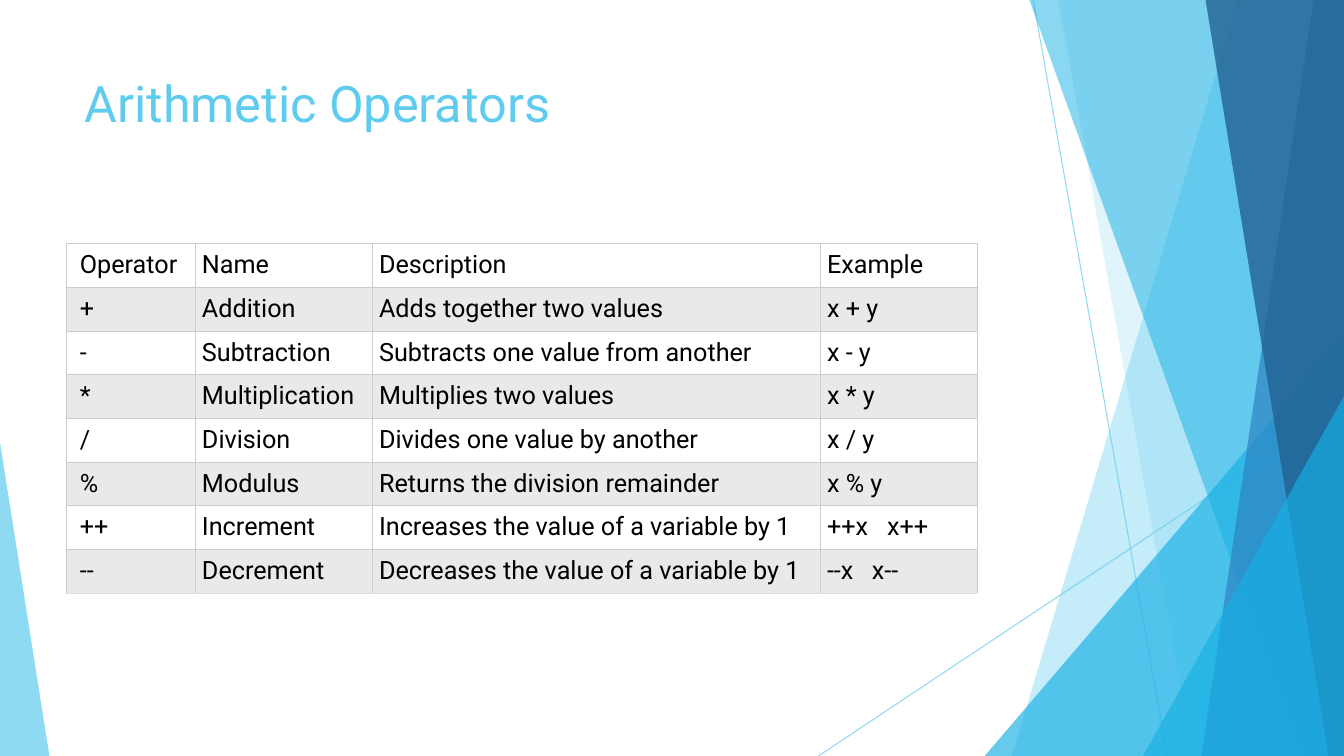
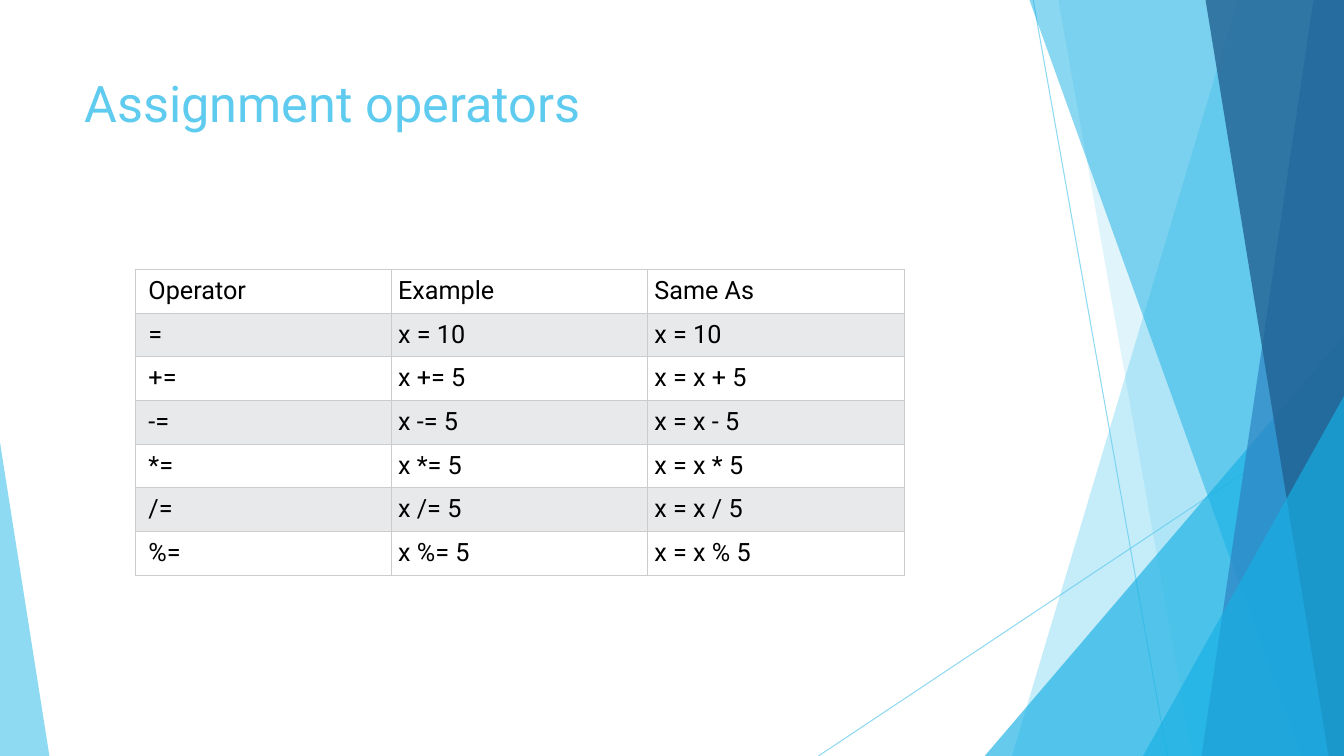
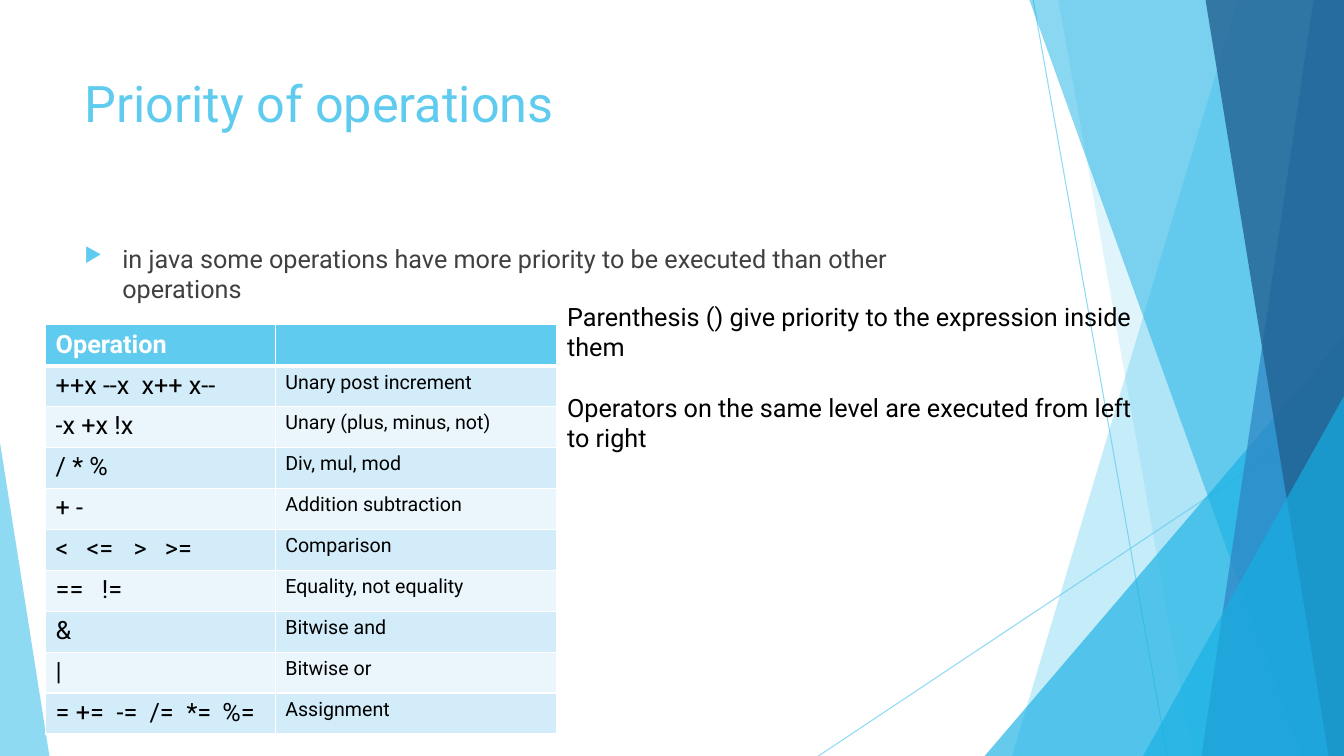
"""Build three slides on operators: arithmetic, assignment and priority."""
from dataclasses import dataclass

from lxml.etree import SubElement
from pptx import Presentation
from pptx.dml.color import RGBColor
from pptx.enum.shapes import MSO_CONNECTOR, MSO_SHAPE
from pptx.oxml.ns import qn
from pptx.util import Pt

WIDTH, HEIGHT = 960, 540
FONT = "Roboto"
SKY, AZURE, BLUE, NAVY = "5FCBEF", "17B0E4", "2E83C3", "226292"
WHITE, BLACK, CHARCOAL = "FFFFFF", "000000", "404040"
SILVER, PALE_SILVER, MIST = "CCCCCC", "DDDDDD", "E7E9EB"
ICE, FROST = "D2ECF9", "EAF6FC"


@dataclass(frozen=True)
class Band:
    top_x: float
    bottom_x: float
    color: str
    opacity: int


@dataclass(frozen=True)
class Wedge:
    left: float
    top: float
    width: float
    apex: float
    color: str
    opacity: int


@dataclass(frozen=True)
class Ray:
    start: tuple[float, float]
    end: tuple[float, float]


@dataclass(frozen=True)
class Rule:
    color: str
    width: float


@dataclass(frozen=True)
class TableLook:
    row_height: float
    inset: float
    first_inset: float
    column_sizes: tuple[int, ...]
    header_fill: str
    header_color: str
    header_bold: bool
    stripes: tuple[str, str]
    rule: Rule
    header_rule: Rule


RAYS = (Ray((738, 0), (833.8, HEIGHT)), Ray((WIDTH, 290.2), (584.6, HEIGHT)))
FACETS = (
    Band(884.2, 722.9, SKY, 36),
    Band(756, 851.8, SKY, 20),
    Wedge(703.4, 239.8, 256.6, 1, AZURE, 66),
    Band(735.3, 929.5, AZURE, 50),
    Band(938.2, 858.2, BLUE, 70),
    Band(861.1, 949, NAVY, 80),
    Wedge(816.5, 283, 143.5, 1, AZURE, 66),
    Wedge(0, 316.1, 35.3, 0, SKY, 70),
)

GRID_RULE = Rule(SILVER, 0.6)
GRID = TableLook(30.8, 4.8, 9.6, (18, 18, 18, 18), WHITE, BLACK, False,
                 (MIST, WHITE), GRID_RULE, GRID_RULE)
BANDED = TableLook(29.23, 7.2, 7.2, (18, 14), SKY, WHITE, True,
                   (ICE, FROST), Rule(WHITE, 1), Rule(WHITE, 3))

ARITHMETIC = (
    ("Operator", "Name", "Description", "Example"),
    ("+", "Addition", "Adds together two values", "x + y"),
    ("-", "Subtraction", "Subtracts one value from another", "x - y"),
    ("*", "Multiplication", "Multiplies two values", "x * y"),
    ("/", "Division", "Divides one value by another", "x / y"),
    ("%", "Modulus", "Returns the division remainder", "x % y"),
    ("++", "Increment", "Increases the value of a variable by 1", "++x\tx++"),
    ("--", "Decrement", "Decreases the value of a variable by 1", "--x\tx--"),
)
ASSIGNMENT = (
    ("Operator", "Example", "Same As"),
    ("=", "x = 10", "x = 10"),
    *((f"{sign}=", f"x {sign}= 5", f"x = x {sign} 5") for sign in "+-*/%"),
)
PRIORITY = (
    ("Operation", ""),
    ("++x --x\tx++ x--", "Unary post increment"),
    ("-x +x !x", "Unary (plus, minus, not)"),
    ("/ * %", "Div, mul, mod"),
    ("+ -", "Addition subtraction"),
    ("<\t<=\t>\t>=", "Comparison"),
    ("==\t!=", "Equality, not equality"),
    ("&", "Bitwise and"),
    ("|", "Bitwise or"),
    ("= +=\t-=\t/=\t*=\t%=", "Assignment"),
)
TAB_STOPS = {
    "++x\tx++": (42.9,),
    "--x\tx--": (32,),
    "++x --x\tx++ x--": (61.4,),
    "<\t<=\t>\t>=": (22, 55.7, 78),
    "==\t!=": (33,),
    "= +=\t-=\t/=\t*=\t%=": (43.5, 67, 93.5, 119),
}


def rgb(color: str) -> RGBColor:
    """Turn a hex string into a colour."""
    return RGBColor.from_string(color)


def fade(shape, opacity: int) -> None:
    """Give every colour of a shape the opacity in percent."""
    for color in shape.element.spPr.iter(qn("a:srgbClr")):
        SubElement(color, qn("a:alpha"), val=str(opacity * 1000))


def add_run(paragraph, text: str, size: float, color: str, bold: bool = False) -> None:
    """Append one styled run to a paragraph."""
    run = paragraph.add_run()
    run.text = text
    run.font.name = FONT
    run.font.size = Pt(size)
    run.font.bold = bold
    run.font.color.rgb = rgb(color)


def add_text(slide, left: float, top: float, width: float, height: float,
             paragraphs: tuple[str, ...], size: float, color: str, gap: float = 0) -> list:
    """Add a wrapped text box and return its paragraphs."""
    frame = slide.shapes.add_textbox(Pt(left), Pt(top), Pt(width), Pt(height)).text_frame
    frame.word_wrap = True
    for index, text in enumerate(paragraphs):
        paragraph = frame.add_paragraph() if index else frame.paragraphs[0]
        if index:
            paragraph.space_before = Pt(gap)
        add_run(paragraph, text, size, color)
    return list(frame.paragraphs)


def add_bullet(paragraph, indent: float) -> None:
    """Set a sky blue arrowhead bullet with a hanging indent."""
    properties = paragraph._p.get_or_add_pPr()
    properties.set("marL", str(Pt(indent)))
    properties.set("indent", str(-Pt(indent)))
    SubElement(SubElement(properties, qn("a:buClr")), qn("a:srgbClr"), val=SKY)
    SubElement(properties, qn("a:buSzPct"), val="80000")
    SubElement(properties, qn("a:buChar"), char="▶")


def add_tab_stops(paragraph, stops: tuple[float, ...]) -> None:
    """Set left tab stops on a paragraph."""
    tabs = SubElement(paragraph._p.get_or_add_pPr(), qn("a:tabLst"))
    for stop in stops:
        SubElement(tabs, qn("a:tab"), pos=str(Pt(stop)), algn="l")


def draw_ray(slide, ray: Ray) -> None:
    """Draw one thin line of the backdrop."""
    line = slide.shapes.add_connector(
        MSO_CONNECTOR.STRAIGHT, *(Pt(value) for value in (*ray.start, *ray.end)))
    line.line.width = Pt(0.75)
    line.line.color.rgb = rgb(SKY)
    fade(line, 70)
    SubElement(line.element.spPr, qn("a:effectLst"))


def draw_facet(slide, facet: Band | Wedge) -> None:
    """Draw one see-through facet of the backdrop."""
    if isinstance(facet, Band):
        outline = slide.shapes.build_freeform(Pt(facet.top_x), 0)
        outline.add_line_segments(
            [(Pt(WIDTH), 0), (Pt(WIDTH), Pt(HEIGHT)), (Pt(facet.bottom_x), Pt(HEIGHT))])
        shape = outline.convert_to_shape()
    else:
        shape = slide.shapes.add_shape(
            MSO_SHAPE.ISOSCELES_TRIANGLE, Pt(facet.left), Pt(facet.top),
            Pt(facet.width), Pt(HEIGHT - facet.top))
        shape.adjustments[0] = facet.apex
    shape.shadow.inherit = False
    shape.fill.solid()
    shape.fill.fore_color.rgb = rgb(facet.color)
    shape.line.fill.background()
    fade(shape, facet.opacity)


def add_slide(presentation, title: str):
    """Add a slide with the shared backdrop and title."""
    slide = presentation.slides.add_slide(presentation.slide_layouts[6])
    for ray in RAYS:
        draw_ray(slide, ray)
    for facet in FACETS:
        draw_facet(slide, facet)
    add_text(slide, 53.3, 48.2, 676.8, 104, (title,), 36, SKY)
    return slide


def set_borders(cell, top: Rule, bottom: Rule, side: Rule) -> None:
    """Rule the four sides of a table cell."""
    properties = cell._tc.get_or_add_tcPr()
    for tag, rule in (("lnL", side), ("lnR", side), ("lnT", top), ("lnB", bottom)):
        line = SubElement(properties, qn(f"a:{tag}"), w=str(Pt(rule.width)))
        SubElement(SubElement(line, qn("a:solidFill")), qn("a:srgbClr"), val=rule.color)


def add_grid(slide, left: float, top: float, widths: tuple[float, ...],
             rows: tuple[tuple[str, ...], ...], look: TableLook,
             last_rule: Rule | None = None) -> None:
    """Add a striped table with a header row."""
    table = slide.shapes.add_table(
        len(rows), len(widths), Pt(left), Pt(top),
        Pt(sum(widths)), Pt(look.row_height * len(rows))).table
    table.first_row = table.horz_banding = False
    for column, width in zip(table.columns, widths):
        column.width = Pt(width)
    rules = [look.rule, look.header_rule, *[look.rule] * (len(rows) - 2),
             last_rule or look.rule]
    for r, texts in enumerate(rows):
        table.rows[r].height = Pt(look.row_height)
        header = r == 0
        fill = look.header_fill if header else look.stripes[(r - 1) % 2]
        color = look.header_color if header else BLACK
        for c, text in enumerate(texts):
            cell = table.cell(r, c)
            cell.margin_left = Pt(look.inset if c else look.first_inset)
            cell.margin_right = Pt(look.inset)
            cell.margin_top = cell.margin_bottom = Pt(min(look.inset, 3.6) if look is BANDED
                                                      else look.inset)
            set_borders(cell, rules[r], rules[r + 1], look.rule)
            cell.fill.solid()
            cell.fill.fore_color.rgb = rgb(fill)
            paragraph = cell.text_frame.paragraphs[0]
            if text in TAB_STOPS:
                add_tab_stops(paragraph, TAB_STOPS[text])
            if text:
                add_run(paragraph, text, look.column_sizes[c], color,
                        header and look.header_bold)


def main() -> None:
    """Build and save the presentation."""
    presentation = Presentation()
    presentation.slide_width, presentation.slide_height = Pt(WIDTH), Pt(HEIGHT)

    arithmetic = add_slide(presentation, "Arithmetic Operators")
    add_grid(arithmetic, 47.5, 174, (92, 126.5, 320, 112), ARITHMETIC, GRID,
             Rule(PALE_SILVER, 0.6))

    assignment = add_slide(presentation, "Assignment operators")
    add_grid(assignment, 96.5, 192.4, (183.1,) * 3, ASSIGNMENT, GRID)

    priority = add_slide(presentation, "Priority of operations")
    introduction = add_text(
        priority, 53.3, 170, 676.8, 305,
        ("in java some operations have more priority to be executed than other operations",),
        18, CHARCOAL)
    add_bullet(introduction[0], 27)
    add_grid(priority, 32.6, 232, (164, 201), PRIORITY, BANDED)
    add_text(
        priority, 398, 211.7, 422.6, 116.6,
        ("Parenthesis () give priority to the expression inside them",
         "Operators on the same level are executed from left to right"),
        18, BLACK, gap=21.5)

    presentation.save("out.pptx")


if __name__ == "__main__":
    main()
